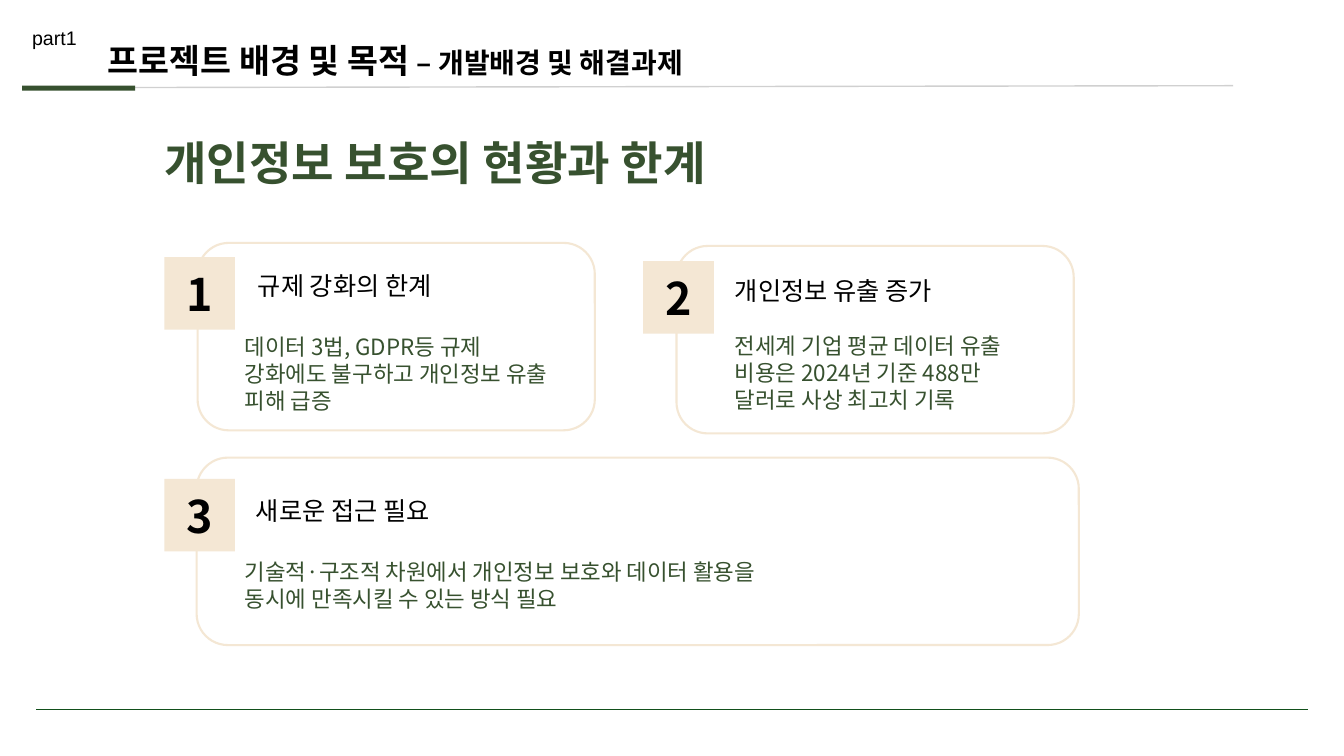
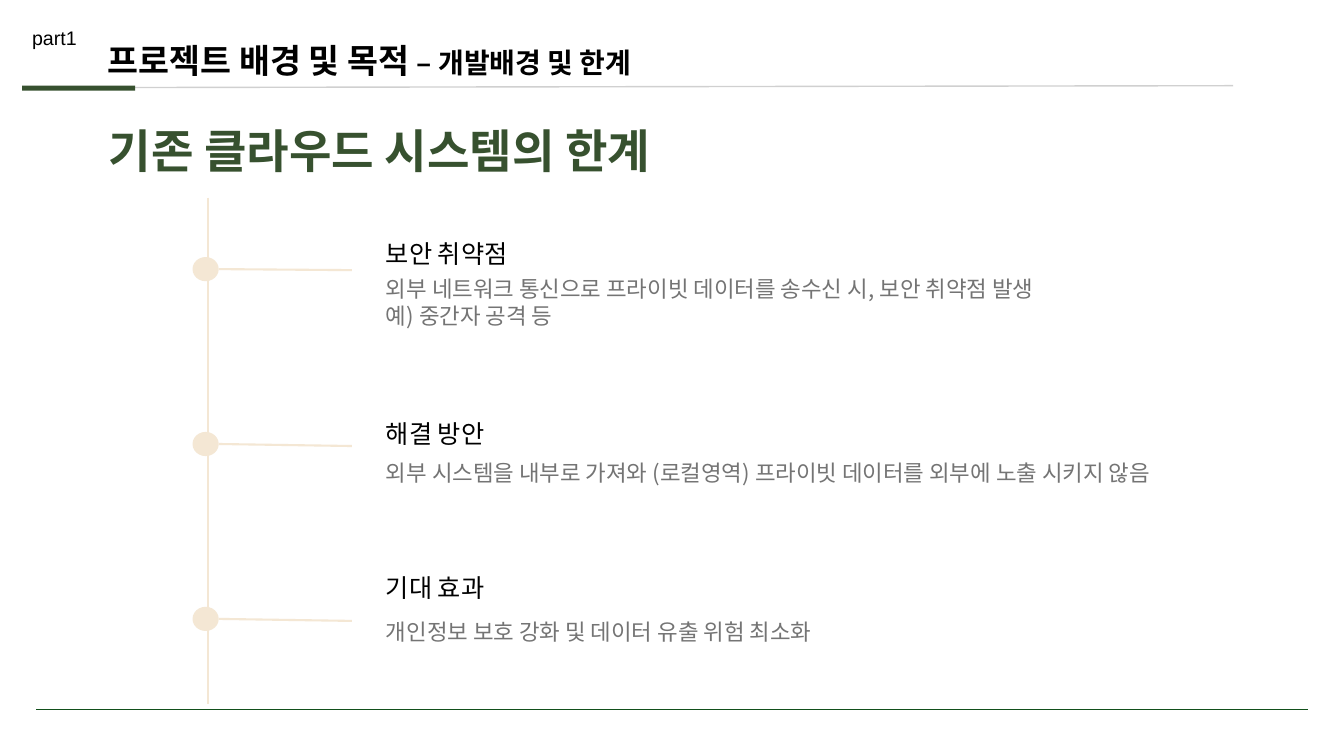
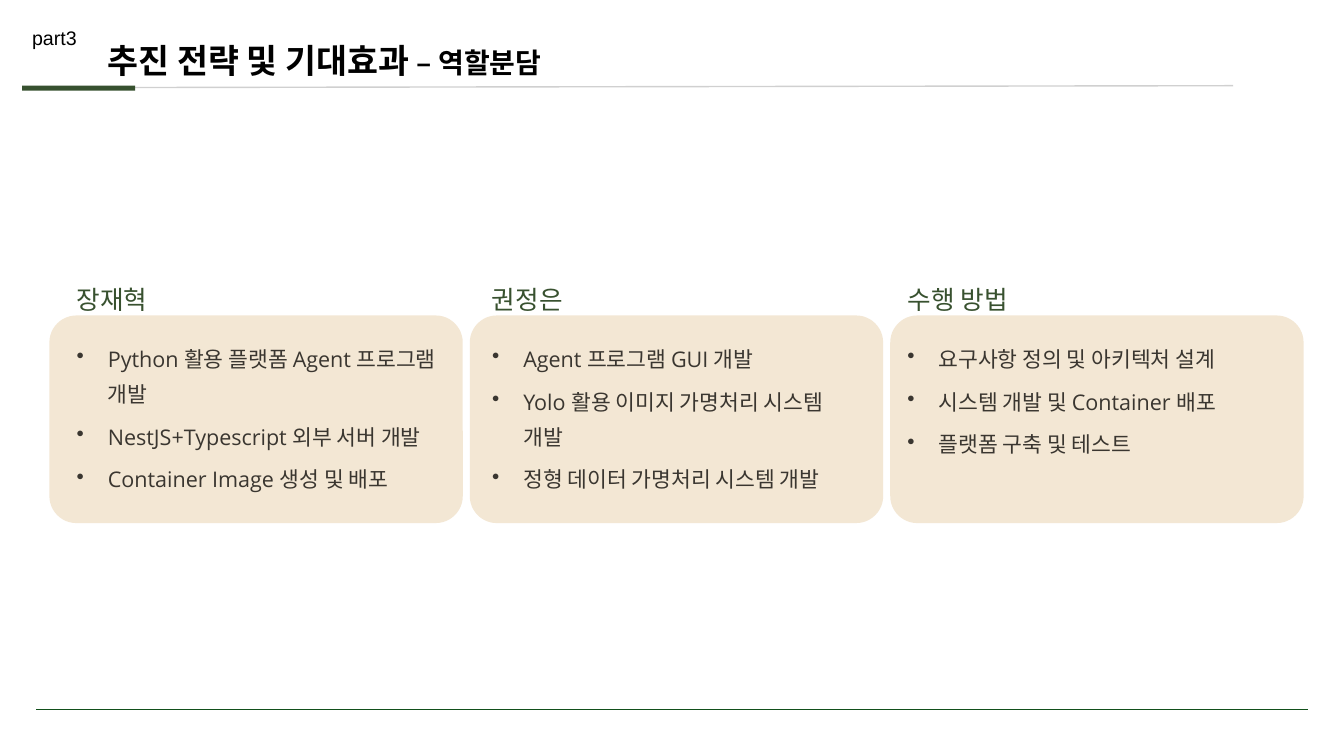
from lxml import etree
from pptx import Presentation
from pptx.dml.color import RGBColor
from pptx.enum.shapes import MSO_CONNECTOR, MSO_SHAPE
from pptx.enum.text import MSO_ANCHOR, MSO_AUTO_SIZE, PP_ALIGN
from pptx.oxml.ns import qn
from pptx.util import Inches, Pt

RECT, ROUNDED, OVAL = MSO_SHAPE.RECTANGLE, MSO_SHAPE.ROUNDED_RECTANGLE, MSO_SHAPE.OVAL
STRAIGHT = MSO_CONNECTOR.STRAIGHT
TOP, MIDDLE = MSO_ANCHOR.TOP, MSO_ANCHOR.MIDDLE
LEFT, CENTER = PP_ALIGN.LEFT, PP_ALIGN.CENTER
NO_FIT = MSO_AUTO_SIZE.NONE

BLACK, GREEN, SAND, GRAY = "000000", "37512F", "F4E7D4", "747474"
CARD_SAND, NAME_GREEN, INK = "F3E7D4", "38512F", "3A3630"
RULE_GRAY, FOOTER_GREEN = "D0D0D0", "12501B"
KOREAN = "Noto Sans CJK KR"
TITLE_ONLY = 5


def grid(*cells):
    """Columns and rows of a grid with ten cells to the inch."""
    return [Inches(cell / 10) for cell in cells]


def color(hex_string):
    return RGBColor.from_string(hex_string)


class Deck:
    # Text styles: font, size, colour and, where needed, bold and line spacing
    PART = dict(font="Arial", size=14, ink=BLACK)
    TITLE = dict(font="Arial", size=24, ink=BLACK, bold=True)
    SUBTITLE = dict(TITLE, size=20)
    HEADLINE = dict(font="Cambria", size=33, ink=GREEN, bold=True, spacing=Pt(22.9))
    HEADING = dict(font="Arial", size=18, ink=BLACK, spacing=1.4)
    BODY = dict(font=KOREAN, size=16, ink=GREEN)
    NUMBER = dict(font=KOREAN, size=32, ink=BLACK, bold=True)
    NAME = dict(font="Cambria", size=18.3, ink=NAME_GREEN, spacing=Pt(22.9))
    TASK = dict(font="Open Sans", size=15.4, ink=INK, spacing=Pt(25))

    def __init__(self):
        self.file = Presentation()
        self.file.slide_width, self.file.slide_height = Inches(13.33), Inches(7.5)
        self.slide = None

    def new_slide(self, part, title, subtitle):
        layout = self.file.slide_layouts[TITLE_ONLY]
        self.slide = self.file.slides.add_slide(layout)
        # Header and footer rules
        self.line((4.5, 8.7), (122.3, 8.5), RULE_GRAY, 1)
        self.shape(RECT, (2.2, 8.5, 11.2, 0.5), fill=GREEN)
        self.line((3.6, 70.4), (129.7, 70.4), FOOTER_GREEN, 0.75)
        self.text((2.2, 2.1, 8.6, 3.4), [part], self.PART)
        # Title with its smaller second half
        holder = self.slide.shapes.title
        holder.left, holder.top, holder.width, holder.height = grid(9.7, 3.5, 84.4, 5)
        self.frame(holder.text_frame)
        line = holder.text_frame.paragraphs[0]
        line.alignment = LEFT
        for words, style in ((title + " ", self.TITLE), (subtitle, self.SUBTITLE)):
            run = line.add_run()
            run.text = words
            self.format_run(run, style)

    def frame(self, frame, inset=True, anchor=TOP):
        frame.word_wrap = True
        frame.auto_size = NO_FIT
        frame.vertical_anchor = anchor
        frame.margin_left = frame.margin_right = Inches(0.1 if inset else 0)
        frame.margin_top = frame.margin_bottom = Inches(0.05 if inset else 0)

    def format_run(self, run, style):
        run.font.name = style["font"]
        run.font.size = Pt(style["size"])
        run.font.bold = style.get("bold", False)
        run.font.color.rgb = color(style["ink"])
        properties = run.font._element
        etree.SubElement(properties, qn("a:ea")).set("typeface", KOREAN)

    def fill_text(self, frame, lines, style, align=LEFT):
        frame.text = "\n".join(lines)
        for paragraph in frame.paragraphs:
            paragraph.alignment = align
            if "spacing" in style:
                paragraph.line_spacing = style["spacing"]
            for run in paragraph.runs:
                self.format_run(run, style)

    def text(self, box, lines, style, inset=True):
        frame = self.slide.shapes.add_textbox(*grid(*box)).text_frame
        self.frame(frame, inset)
        self.fill_text(frame, lines, style)
        return frame

    def bullets(self, box, lines):
        frame = self.text(box, lines, self.TASK, inset=False)
        for paragraph in frame.paragraphs:
            paragraph.space_after = Pt(5.5)
            properties = paragraph._p.get_or_add_pPr()
            properties.set("marL", str(Inches(0.31)))
            properties.set("indent", str(-Inches(0.31)))
            etree.SubElement(properties, qn("a:buChar")).set("char", "•")

    def shape(self, kind, box, fill=None, outline=None):
        shape = self.slide.shapes.add_shape(kind, *grid(*box))
        shape.shadow.inherit = False
        if fill:
            shape.fill.solid()
            shape.fill.fore_color.rgb = color(fill)
        else:
            shape.fill.background()
        if outline:
            shape.line.color.rgb = color(outline)
            shape.line.width = Pt(1.5)
        else:
            shape.line.fill.background()
        return shape

    def line(self, start, end, ink, width=1.5):
        line = self.slide.shapes.add_connector(STRAIGHT, *grid(*start, *end))
        line.line.color.rgb = color(ink)
        line.line.width = Pt(width)
        etree.SubElement(line._element.spPr, qn("a:effectLst"))

    def headline(self, left, top, words):
        self.text((left, top, 65, 4.4), [words], self.HEADLINE, inset=False)

    def numbered_card(self, number, outline, badge, heading, body):
        self.shape(ROUNDED, outline, outline=SAND)
        square = self.shape(RECT, (*badge, 7, 7.2), fill=SAND)
        self.frame(square.text_frame, anchor=MIDDLE)
        self.fill_text(square.text_frame, [str(number)], self.NUMBER, CENTER)
        (heading_at, heading_words), (body_at, body_lines) = heading, body
        self.text((*heading_at, 24.6, 5.3), [heading_words], self.HEADING)
        self.text((*body_at, outline[2] - 4, 9.1), body_lines, self.BODY)

    def milestone(self, dot_top, branch_drop, heading, body):
        center = dot_top + 1.2
        self.line((21.7, center), (34.9, center + branch_drop), SAND)
        self.shape(OVAL, (19.1, dot_top, 2.6, 2.4), fill=SAND)
        (heading_top, heading_words), (body_top, body_lines) = heading, body
        self.text((37.3, heading_top, 24.6, 5.3), [heading_words], self.HEADING)
        self.text((37.3, body_top, 87.6, 6.4), body_lines, dict(self.BODY, ink=GRAY))

    def role_card(self, column, name, tasks):
        card = self.shape(ROUNDED, (4.9 + 41.7 * column, 31.3, 41, 20.6), fill=CARD_SAND)
        card.adjustments[0] = 0.13
        text_left = 7.6 + 41.2 * column
        self.text((text_left, 28, 25.7, 3.2), [name], self.NAME, inset=False)
        self.bullets((text_left, 33.4, 35.8, 15.5), tasks)


def main():
    deck = Deck()

    # Slide 1: limits of privacy protection
    deck.new_slide("part1", "프로젝트 배경 및 목적", "– 개발배경 및 해결과제")
    deck.headline(16.3, 15.6, "개인정보 보호의 현황과 한계")
    issues = [
        ((19.6, 24.1, 39.4, 18.6), (16.3, 25.5),
         ((24.6, 25.1), "규제 강화의 한계"),
         ((23.3, 32.6), ["데이터 3법, GDPR등 규제", "강화에도 불구하고 개인정보 유출",
                         "피해 급증"])),
        ((67.1, 24.4, 39.4, 18.6), (63.8, 25.9),
         ((71.9, 25.6), "개인정보 유출 증가"),
         ((71.9, 32.5), ["전세계 기업 평균 데이터 유출", "비용은 2024년 기준 488만",
                         "달러로 사상 최고치 기록"])),
        ((19.5, 45.4, 87.5, 18.6), (16.3, 47.5),
         ((24.4, 47.5), "새로운 접근 필요"),
         ((23.3, 54.9), ["기술적·구조적 차원에서 개인정보 보호와 데이터 활용을",
                         "동시에 만족시킬 수 있는 방식 필요"])),
    ]
    for number, issue in enumerate(issues, 1):
        deck.numbered_card(number, *issue)

    # Slide 2: timeline of cloud limits
    deck.new_slide("part1", "프로젝트 배경 및 목적", "– 개발배경 및 한계")
    deck.headline(10.8, 14.5, "기존 클라우드 시스템의 한계")
    deck.line((20.6, 19.6), (20.6, 69.8), SAND)
    milestones = [
        (0.1, (22, "보안 취약점"),
         (26.8, ["외부 네트워크 통신으로 프라이빗 데이터를 송수신 시, 보안 취약점 발생",
                 "예) 중간자 공격 등"])),
        (0.2, (39.8, "해결 방안"),
         (45.1, ["외부 시스템을 내부로 가져와 (로컬영역) 프라이빗 데이터를 외부에 노출 시키지 않음"])),
        (0.2, (55.1, "기대 효과"),
         (60.8, ["개인정보 보호 강화 및 데이터 유출 위험 최소화"])),
    ]
    for row, milestone in enumerate(milestones):
        deck.milestone(25.5 + 17.35 * row, *milestone)

    # Slide 3: roles
    deck.new_slide("part3", "추진 전략 및 기대효과", "– 역할분담")
    roles = [
        ("장재혁", ["Python 활용 플랫폼 Agent 프로그램 개발",
                 "NestJS+Typescript 외부 서버 개발",
                 "Container Image 생성 및 배포"]),
        ("권정은", ["Agent 프로그램 GUI 개발",
                 "Yolo 활용 이미지 가명처리 시스템 개발",
                 "정형 데이터 가명처리 시스템 개발"]),
        ("수행 방법", ["요구사항 정의 및 아키텍처 설계",
                   "시스템 개발 및 Container 배포",
                   "플랫폼 구축 및 테스트"]),
    ]
    for column, role in enumerate(roles):
        deck.role_card(column, *role)

    deck.file.save("out.pptx")


if __name__ == "__main__":
    main()
